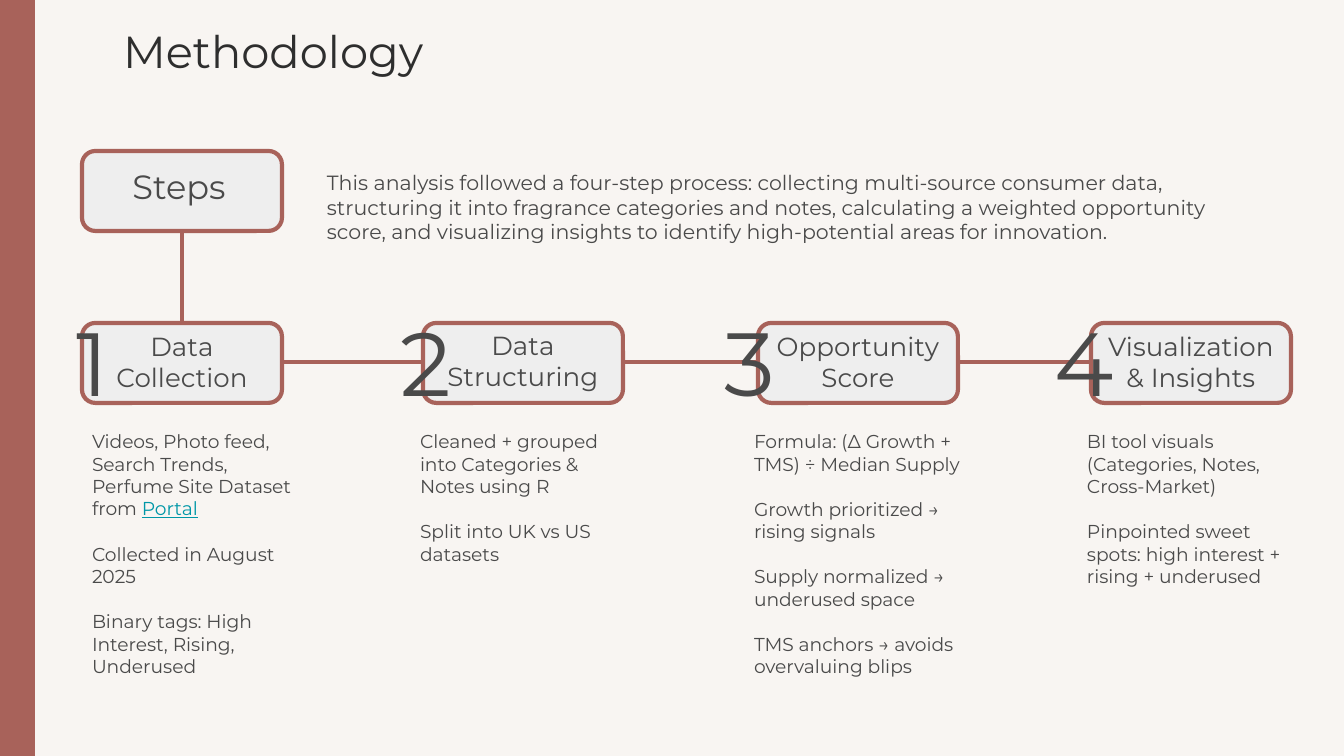
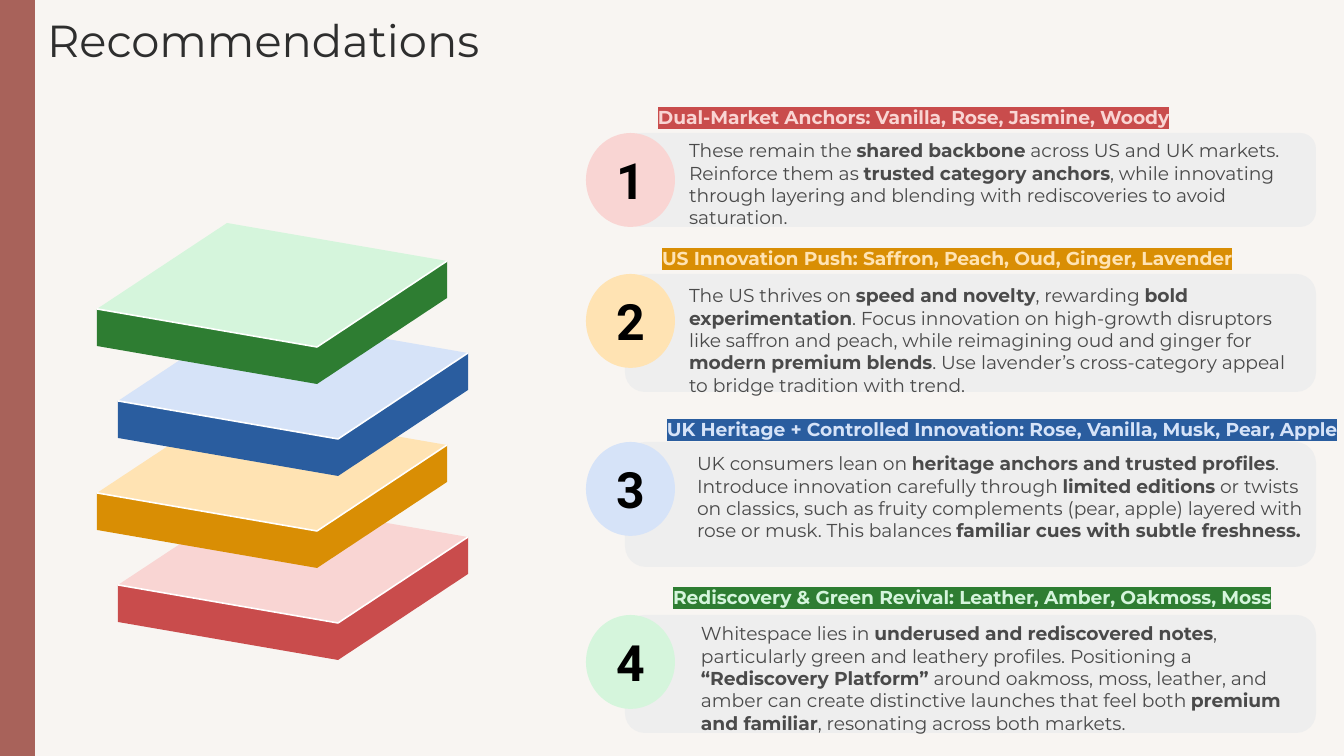
from dataclasses import dataclass

from pptx import Presentation
from pptx.dml.color import RGBColor
from pptx.enum.shapes import MSO_CONNECTOR, MSO_SHAPE
from pptx.enum.text import MSO_ANCHOR, MSO_AUTO_SIZE, PP_ALIGN
from pptx.oxml.ns import qn
from pptx.oxml.xmlchemy import OxmlElement
from pptx.util import Pt

RECT, ROUNDED, OVAL = MSO_SHAPE.RECTANGLE, MSO_SHAPE.ROUNDED_RECTANGLE, MSO_SHAPE.OVAL
STRAIGHT = MSO_CONNECTOR.STRAIGHT
LEFT, CENTER = PP_ALIGN.LEFT, PP_ALIGN.CENTER
TOP, MIDDLE = MSO_ANCHOR.TOP, MSO_ANCHOR.MIDDLE

PX = 914400 / 134.4
WIDTH, HEIGHT = 1344, 756
INSET = 13
COMPARISON_LAYOUT, TITLE_LAYOUT = 4, 5


@dataclass(frozen=True)
class Theme:
    background: str = "F8F5F2"
    accent: str = "A8625A"
    panel: str = "EEEEEE"
    title: str = "2E2E2E"
    text: str = "4A4A4A"
    link: str = "0097A7"
    black: str = "000000"
    white: str = "FFFFFF"
    font: str = "Montserrat"
    badge_font: str = "Roboto"
    title_size: float = 24
    steps_size: float = 18
    label_size: float = 14
    intro_size: float = 11
    note_size: float = 10
    number_size: float = 48
    badge_size: float = 26.8
    note_gap: float = 12.2


THEME = Theme()
# (dark, light) pairs in the order of the recommendations
TONES = [("C94C4C", "F9D5D3"), ("D98E04", "FFE3B3"),
         ("2A5D9F", "D6E3F8"), ("2E7D32", "D5F5DC")]
BOLD = {"bold": True}
LINK = {"color": THEME.link, "underline": True}

# Step: box left, offsets of number, label and notes, label, notes
STEPS = [
    (82, -24, -6, -3, "Data Collection",
     ["Videos, Photo feed, Search Trends, Perfume Site Dataset from **Portal**",
      "Collected in August 2025",
      "Binary tags: High Interest, Rising, Underused"]),
    (423, -35, -7, -16, "Data Structuring",
     ["Cleaned + grouped into Categories & Notes using R",
      "Split into UK vs US datasets"]),
    (758, -46, -6, -17, "Opportunity Score",
     ["Formula: (Δ Growth + TMS) ÷ Median Supply",
      "Growth prioritized → rising signals",
      "Supply normalized → underused space",
      "TMS anchors → avoids overvaluing blips"]),
    (1091, -49, -6, -17, "Visualization & Insights",
     ["BI tool visuals (Categories, Notes, Cross-Market)",
      "Pinpointed sweet spots: high interest + rising + underused"]),
]
INTRO = ("This analysis followed a four-step process: collecting multi-source consumer "
         "data, structuring it into fragrance categories and notes, calculating a weighted "
         "opportunity score, and visualizing insights to identify high-potential areas for "
         "innovation.")

# Recommendation: card top and height, heading offset, advice offset, heading, advice
RECOMMENDATIONS = [
    (133, 94, (20, -40), (51, -7), "Dual-Market Anchors: Vanilla, Rose, Jasmine, Woody",
     "These remain the **shared backbone** across US and UK markets. Reinforce them as "
     "**trusted category anchors**, while innovating through layering and blending with "
     "rediscoveries to avoid saturation."),
    (274, 118, (24, -40), (51, -3),
     "US Innovation Push: Saffron, Peach, Oud, Ginger, Lavender",
     "The US thrives on **speed and novelty**, rewarding **bold experimentation**. Focus "
     "innovation on high-growth disruptors like saffron and peach, while reimagining oud "
     "and ginger for **modern premium blends**. Use lavender’s cross-category appeal to "
     "bridge tradition with trend."),
    (442, 125, (29, -37), (59, -3),
     "UK Heritage + Controlled Innovation: Rose, Vanilla, Musk, Pear, Apple",
     "UK consumers lean on **heritage anchors and trusted profiles**. Introduce innovation "
     "carefully through **limited editions** or twists on classics, such as fruity "
     "complements (pear, apple) layered with rose or musk. This balances **familiar cues "
     "with subtle freshness.**"),
    (615, 118, (35, -42), (63, -6),
     "Rediscovery & Green Revival: Leather, Amber, Oakmoss, Moss",
     "Whitespace lies in **underused and rediscovered notes**, particularly green and "
     "leathery profiles. Positioning a **“Rediscovery Platform”** around oakmoss, moss, "
     "leather, and amber can create distinctive launches that feel both **premium and "
     "familiar**, resonating across both markets."),
]


def emu(*lengths):
    return [round(length * PX) for length in lengths]


def rgb(color):
    return RGBColor.from_string(color)


def text_style(size, color=THEME.text, name=THEME.font, bold=False):
    return {"size": Pt(size), "color": color, "name": name, "bold": bold}


def format_font(font, style):
    for key, value in style.items():
        if key == "color":
            font.color.rgb = rgb(value)
        else:
            setattr(font, key, value)


def write(shape, paragraphs, style, align=LEFT, anchor=TOP, emphasis=BOLD, gap=0,
          right_inset=INSET):
    """Fill a shape with text; parts between ** take the emphasis."""
    frame = shape.text_frame
    sides = emu(INSET, INSET, right_inset, INSET)
    settings = dict(zip(("margin_left", "margin_top", "margin_right", "margin_bottom"), sides),
                    word_wrap=True, auto_size=MSO_AUTO_SIZE.NONE, vertical_anchor=anchor)
    for key, value in settings.items():
        setattr(frame, key, value)
    for index, text in enumerate(paragraphs):
        paragraph = frame.add_paragraph() if index else frame.paragraphs[0]
        if shape.is_placeholder:
            properties = paragraph._p.get_or_add_pPr()
            properties.set("marL", "0")
            properties.set("indent", "0")
            properties.append(OxmlElement("a:buNone"))
        paragraph.alignment = align
        paragraph.space_before = Pt(gap if index else 0)
        for part, words in enumerate(text.split("**")):
            if words:
                run = paragraph.add_run()
                run.text = words
                format_font(run.font, {**style, **(emphasis if part % 2 else {})})


def add_text(slide, box, text, style, **options):
    label = slide.shapes.add_textbox(*emu(*box))
    write(label, [text], style, **options)
    return label


def place(placeholder, box):
    for key, value in zip(("left", "top", "width", "height"), emu(*box)):
        setattr(placeholder, key, value)


def paint(shape, fill=None, line=None, weight=2.25):
    shape.shadow.inherit = False
    if fill:
        shape.fill.solid()
        shape.fill.fore_color.rgb = rgb(fill)
    else:
        shape.fill.background()
    if line:
        shape.line.color.rgb = rgb(line)
        shape.line.width = Pt(weight)
    else:
        shape.line.fill.background()


def add_block(slide, kind, box, fill, line=None, weight=2.25):
    block = slide.shapes.add_shape(kind, *emu(*box))
    paint(block, fill, line, weight)
    return block


def add_link_line(slide, *ends):
    line = slide.shapes.add_connector(STRAIGHT, *emu(*ends))
    line.line.color.rgb = rgb(THEME.accent)
    line.line.width = Pt(2.25)
    line._element.spPr.append(OxmlElement("a:effectLst"))


def start_slide(deck, layout, title, title_box):
    """Background, side band and title shared by all slides."""
    slide = deck.slides.add_slide(deck.slide_layouts[layout])
    slide.background.fill.solid()
    slide.background.fill.fore_color.rgb = rgb(THEME.background)
    add_block(slide, RECT, (0, 0, 34, HEIGHT), THEME.accent, THEME.accent, 0.75)
    place(slide.shapes.title, title_box)
    write(slide.shapes.title, [title], text_style(THEME.title_size, THEME.title))
    return slide


def add_step(slide, notes_holder, box, number, step):
    left, top, width, height = box
    _, number_dx, label_dy, notes_dx, label, notes = step
    add_block(slide, ROUNDED, box, THEME.panel, THEME.accent)
    add_text(slide, (left, top + label_dy, width, 91), label,
             text_style(THEME.label_size), align=CENTER)
    add_text(slide, (left + number_dx, top - 29, 69, 91), str(number),
             text_style(THEME.number_size), align=CENTER)
    place(notes_holder, (left + notes_dx, top + 94, 235, 274))
    write(notes_holder, notes, text_style(THEME.note_size), emphasis=LINK,
          gap=THEME.note_gap)


def methodology_slide(deck):
    slide = start_slide(deck, COMPARISON_LAYOUT, "Methodology", (110, 11, 1234, 151))
    width, height, steps_top, row_top = 200, 80, 151, 323
    lefts = [step[0] for step in STEPS]

    # Connecting lines
    middle = lefts[0] + width // 2
    add_link_line(slide, middle, steps_top + height, middle, row_top)
    row_middle = row_top + height // 2 - 1
    for left, following in zip(lefts, lefts[1:]):
        add_link_line(slide, left + width, row_middle, following, row_middle)

    # Steps heading and introduction
    add_block(slide, ROUNDED, (lefts[0], steps_top, width, height), THEME.panel, THEME.accent)
    add_text(slide, (lefts[0] - 3, steps_top + 2, width, 74), "Steps",
             text_style(THEME.steps_size), align=CENTER)
    add_text(slide, (314, 157, 910, 114), INTRO, text_style(THEME.intro_size))

    # Four steps, one body placeholder each
    holders = [holder for holder in slide.placeholders if holder.placeholder_format.idx]
    for number, (holder, step) in enumerate(zip(holders, STEPS), 1):
        add_step(slide, holder, (step[0], row_top, width, height), number, step)


def add_slab(slide, left, top, dark, light):
    """One layer of the stack: two dark sides, a light top and a white edge."""
    thickness = 37
    west, south, east, north = [(left + x, top + y) for x, y in
                                ((0, 86), (220, 124), (350, 38), (130, 0))]

    def lower(corner):
        return corner[0], corner[1] + thickness

    group = slide.shapes.add_group_shape()
    for corners, fill, line in (
            ((south, east, lower(east), lower(south)), dark, None),
            ((west, south, east, north), light, None),
            ((west, south, lower(south), lower(west)), dark, None),
            ((west, south, east), None, THEME.white)):
        builder = group.shapes.build_freeform(*corners[0], scale=PX)
        builder.add_line_segments(corners[1:], close=fill is not None)
        paint(builder.convert_to_shape(), fill, line, 0.85)


def add_highlight(label, color):
    for run in label.text_frame.paragraphs[0].runs:
        highlight = OxmlElement("a:highlight")
        tone = OxmlElement("a:srgbClr")
        tone.set("val", color)
        highlight.append(tone)
        run._r.rPr.find(qn("a:solidFill")).addnext(highlight)


def add_recommendation(slide, box, number, recommendation, dark, light):
    left, top, width, _ = box
    _, _, (heading_dx, heading_dy), (advice_dx, advice_dy), heading, advice = recommendation
    add_block(slide, ROUNDED, box, THEME.panel)
    badge = add_block(slide, OVAL, (left - 39, top, 89, 94), light)
    write(badge, [str(number)],
          text_style(THEME.badge_size, THEME.black, THEME.badge_font, True),
          align=CENTER, anchor=MIDDLE)
    add_text(slide, (left + advice_dx, top + advice_dy, 640, 125), advice,
             text_style(THEME.note_size))
    title = add_text(slide, (left + heading_dx, top + heading_dy, width - heading_dx + 28, 50),
                     heading, text_style(THEME.note_size, light, bold=True), right_inset=0)
    add_highlight(title, dark)


def recommendations_slide(deck):
    slide = start_slide(deck, TITLE_LAYOUT, "Recommendations", (34, 0, 1310, 151))
    # Stack, from the bottom layer up
    for level, tones in enumerate(TONES):
        add_slab(slide, 97 if level % 2 else 118, 499 - 92 * level, *tones)
    # Numbered cards
    for number, (item, tones) in enumerate(zip(RECOMMENDATIONS, TONES), 1):
        add_recommendation(slide, (625, item[0], 691, item[1]), number, item, *tones)


def main():
    deck = Presentation()
    deck.slide_width, deck.slide_height = emu(WIDTH, HEIGHT)
    methodology_slide(deck)
    recommendations_slide(deck)
    deck.save("out.pptx")


if __name__ == "__main__":
    main()
